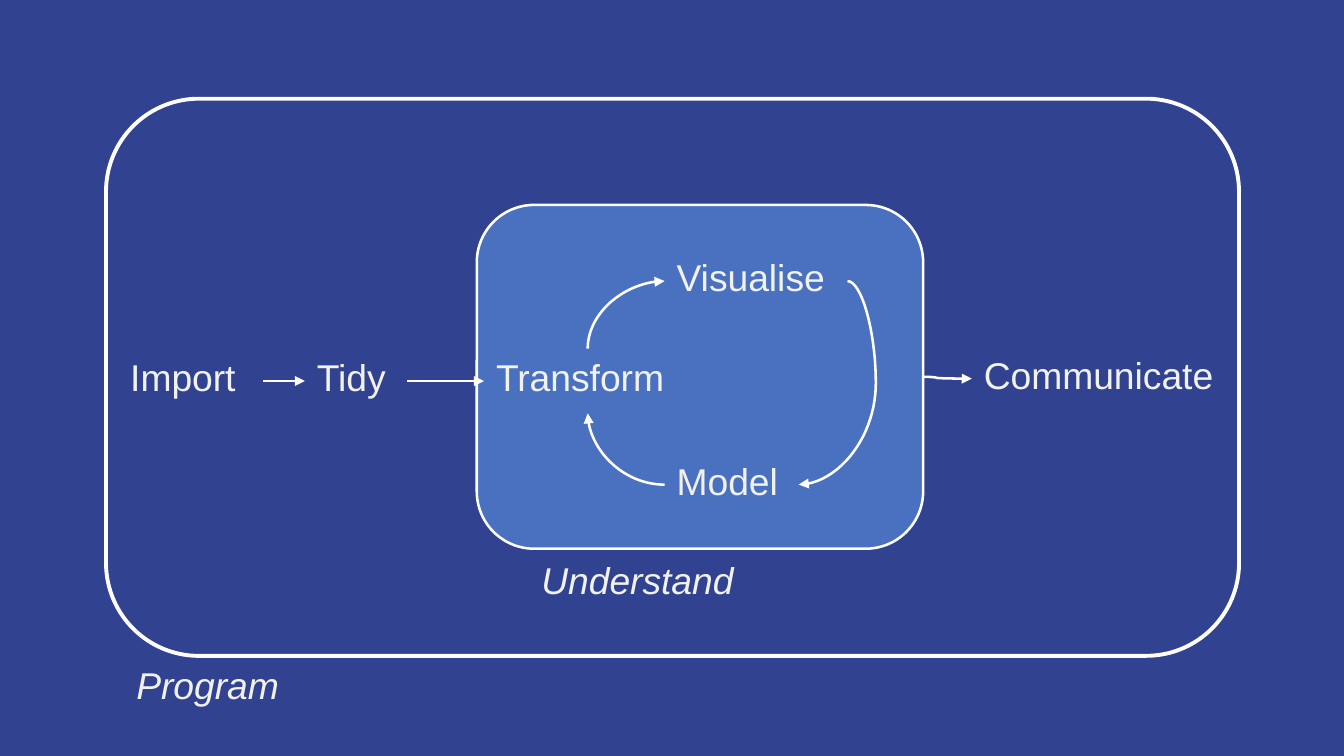
from dataclasses import dataclass

from lxml.etree import SubElement
from pptx import Presentation
from pptx.dml.color import RGBColor as RGB
from pptx.enum.shapes import MSO_CONNECTOR as Connector, MSO_SHAPE as Shape
from pptx.enum.text import MSO_AUTO_SIZE as AutoSize
from pptx.oxml.ns import qn
from pptx.util import Pt


@dataclass(frozen=True)
class Theme:
    background: RGB = RGB.from_string("314290")
    panel: RGB = RGB.from_string("4A71C0")
    line: RGB = RGB.from_string("FFFFFF")
    text: RGB = RGB.from_string("F1F2ED")
    font: str = "Arial"
    size: float = 22
    thin: float = 1.5
    thick: float = 2.3


def write(frame, text, *, font, size, color, italic=False):
    run = frame.paragraphs[0].add_run()
    run.text = text
    run.font.name = font
    run.font.size = Pt(size)
    run.font.color.rgb = color
    run.font.italic = italic


def site(part, side):
    """Middle of one side of a part."""
    middle_x = part.left + part.width // 2
    middle_y = part.top + part.height // 2
    return {
        "top": (middle_x, part.top),
        "bottom": (middle_x, part.top + part.height),
        "left": (part.left, middle_y),
        "right": (part.left + part.width, middle_y),
    }[side]


class Diagram:
    LABEL_HEIGHT = 38.2

    def __init__(self, slide, theme):
        self.slide, self.theme = slide, theme
        slide.background.fill.solid()
        slide.background.fill.fore_color.rgb = theme.background

    def panel(self, left, top, width, height, weight, fill=None):
        panel = self.slide.shapes.add_shape(
            Shape.ROUNDED_RECTANGLE, Pt(left), Pt(top), Pt(width), Pt(height))
        panel.shadow.inherit = False
        if fill is None:
            panel.fill.background()
        else:
            panel.fill.solid()
            panel.fill.fore_color.rgb = fill
        panel.line.color.rgb = self.theme.line
        panel.line.width = Pt(weight)
        return panel

    def label(self, text, left, top, width, italic=False):
        label = self.slide.shapes.add_textbox(
            Pt(left), Pt(top), Pt(width), Pt(self.LABEL_HEIGHT))
        label.text_frame.word_wrap = False
        label.text_frame.auto_size = AutoSize.SHAPE_TO_FIT_TEXT
        write(label.text_frame, text, font=self.theme.font, size=self.theme.size,
              color=self.theme.text, italic=italic)
        return label

    def arrow(self, start, end, bend=None, turned=False):
        """Curve with one bend, or an S or C curve when bend is given.

        A turned curve leaves its start vertically instead of horizontally.
        """
        (x1, y1), (x2, y2) = start, end
        if turned:  # the frame before its quarter turn about the centre
            cx, cy = (x1 + x2) // 2, (y1 + y2) // 2
            x1, y1 = cx + (y1 - cy), cy - (x1 - cx)
            x2, y2 = cx + (y2 - cy), cy - (x2 - cx)
        arrow = self.slide.shapes.add_connector(Connector.CURVE, x1, y1, x2, y2)
        arrow.line.color.rgb = self.theme.line
        arrow.line.width = Pt(self.theme.thin)

        properties = arrow._element.spPr
        if turned:
            properties.find(qn("a:xfrm")).set("rot", str(90 * 60000))
        geometry = properties.find(qn("a:prstGeom"))
        if bend is None:
            geometry.set("prst", "curvedConnector2")
        else:
            guides = geometry.find(qn("a:avLst"))
            SubElement(guides, qn("a:gd"), name="adj1",
                       fmla=f"val {round(bend * 100000)}")
        SubElement(properties.find(qn("a:ln")), qn("a:tailEnd"), type="triangle")
        SubElement(properties, qn("a:effectLst"))


def main():
    deck = Presentation()
    deck.slide_width, deck.slide_height = Pt(793.44), Pt(446.4)
    theme = Theme()
    diagram = Diagram(deck.slides.add_slide(deck.slide_layouts[6]), theme)

    # Nested panels and their captions
    diagram.panel(62.6, 58.3, 668.9, 329, theme.thick)
    diagram.label("Program", 73.4, 387.4, 101.5, italic=True)
    understand = diagram.panel(281.5, 121, 263.5, 203, theme.thin, theme.panel)
    diagram.label("Understand", 312.5, 325.4, 135.4, italic=True)

    # Steps of the workflow
    row, cycle_left = 205.9, 392.4
    import_step = diagram.label("Import", 69.8, row, 85.7)
    tidy = diagram.label("Tidy", 180, row, 60.5)
    transform = diagram.label("Transform", 285.8, row, 122.4)
    visualise = diagram.label("Visualise", cycle_left, 146.9, 108)
    model = diagram.label("Model", cycle_left, 267.1, 79.2)
    communicate = diagram.label("Communicate", 573.8, 204.5, 158.4)

    # Cycle inside the inner panel
    diagram.arrow(site(visualise, "right"), site(model, "right"), bend=-0.58)
    diagram.arrow(site(model, "left"), site(transform, "bottom"))
    diagram.arrow(site(transform, "top"), site(visualise, "left"), turned=True)

    # Path from import to communication
    diagram.arrow(site(import_step, "right"), site(tidy, "left"))
    diagram.arrow(site(tidy, "right"), site(transform, "left"))
    diagram.arrow(site(understand, "right"), site(communicate, "left"), bend=0.27)

    deck.save("out.pptx")


if __name__ == "__main__":
    main()
